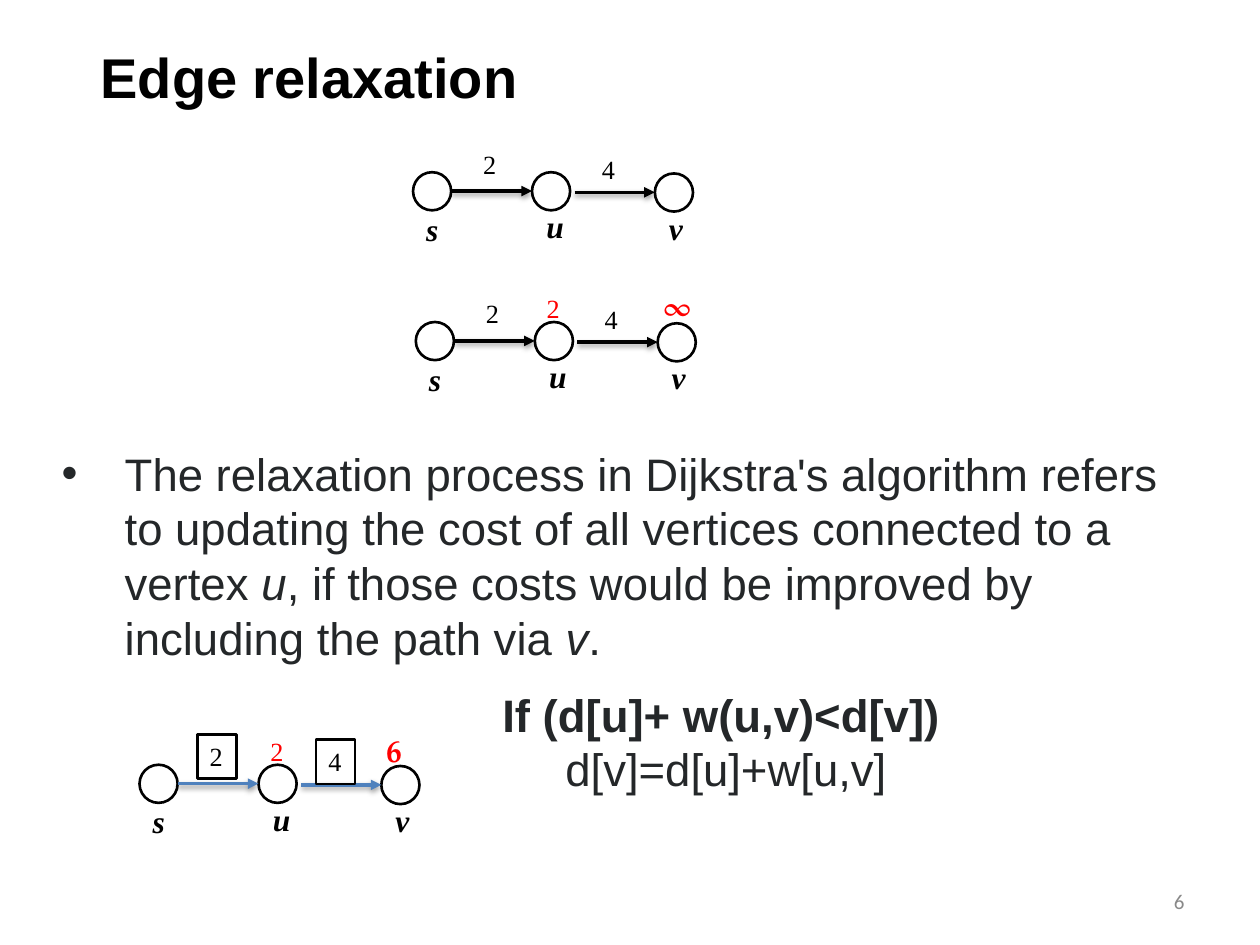
"""Build the edge relaxation slide with three small weighted graphs."""
from lxml import etree
from pptx import Presentation
from pptx import util as u
from pptx.dml.color import RGBColor
from pptx.enum import shapes, text
from pptx.oxml import parse_xml
from pptx.oxml.ns import nsdecls, qn

BLACK = RGBColor(0x00, 0x00, 0x00)
WHITE = RGBColor(0xFF, 0xFF, 0xFF)
RED = RGBColor(0xFF, 0x00, 0x00)
BLUE = RGBColor(0x4F, 0x81, 0xBD)
INK = RGBColor(0x24, 0x27, 0x29)
GREY = RGBColor(0x89, 0x89, 0x89)

SERIF = "Times New Roman"
COST_FONT = "TeX Gyre Pagella"
SANS = "Arial"
NODE = 21.8

NODES = [("s", 0, 0, (0.4, 18, 21.6)),
         ("u", 68, 0, (1.2, 16.6, 24.5)),
         ("v", 138.2, 0.7, (0.9, 16.6, 22.3))]
EDGES = [("2", 22, 68, 10.8, (33, -17.4)),
         ("4", 92.4, 138.2, 11.5, (100.8, -14.4))]
GRAPHS = [
    {"origin": (236, 98.4), "color": BLACK, "boxed": False, "costs": []},
    {"origin": (237.6, 184), "color": BLACK, "boxed": False,
     "costs": [("2", 67.7, -20.7, 22.3, 15, SERIF, False),
               ("∞", 134, -23.6, 30.2, 18, COST_FONT, True)]},
    {"origin": (79.7, 437), "color": BLUE, "boxed": True,
     "costs": [("2", 67.7, -20.2, 22.3, 15, SERIF, False),
               ("6", 134, -23, 24.5, 18, COST_FONT, True)]},
]

TITLE = [[("Edge relaxation", True, False)]]
EXPLANATION = [[
    ("The relaxation process in Dijkstra's algorithm refers to updating the cost "
     "of all vertices connected to a vertex ", False, False),
    ("u", False, True),
    (", if those costs would be improved by including the path via ", False, False),
    ("v", False, True),
    (".", False, False),
]]
RULE = [[("If (d[u]+ w(u,v)<d[v])", True, False)],
        [("d[v]=d[u]+w[u,v]", False, False)]]
PAGE_NUMBER = [[("6", False, False)]]


def points(*lengths):
    return [u.Pt(length) for length in lengths]


def write(box, paragraphs, size, font, color, wrap=False):
    frame = box.text_frame
    frame.word_wrap = wrap
    frame.auto_size = text.MSO_AUTO_SIZE.NONE
    frame.vertical_anchor = text.MSO_ANCHOR.TOP
    for index, spans in enumerate(paragraphs):
        para = frame.add_paragraph() if index else frame.paragraphs[0]
        para.alignment = text.PP_ALIGN.LEFT
        for wording, bold, italic in spans:
            span = para.add_run()
            span.text = wording
            span.font.size = u.Pt(size)
            span.font.name = font
            span.font.bold = bold
            span.font.italic = italic
            span.font.color.rgb = color
    return frame


def add_text(page, place, *style, **options):
    return write(page.shapes.add_textbox(*points(*place)), *style, **options)


def indent(para, left, first=0, bullet=None):
    properties = para._p.get_or_add_pPr()
    properties.set("marL", str(u.Pt(left)))
    properties.set("indent", str(u.Pt(first)))
    if bullet:
        etree.SubElement(properties, qn("a:buFont")).set("typeface", SANS)
        etree.SubElement(properties, qn("a:buChar")).set("char", bullet)


def add_arrow(page, start, end, y, color):
    arrow = page.shapes.add_connector(
        shapes.MSO_CONNECTOR.STRAIGHT, *points(start, y, end, y))
    arrow.line.color.rgb = color
    arrow.line.width = u.Pt(2)
    etree.SubElement(arrow.line._get_or_add_ln(), qn("a:tailEnd")).set("type", "triangle")
    arrow._element.spPr.append(parse_xml(
        f'<a:effectLst {nsdecls("a")}><a:outerShdw blurRad="{u.Pt(3.1)}" '
        f'dist="{u.Pt(1.6)}" dir="5400000" rotWithShape="0"><a:srgbClr val="{BLACK}">'
        '<a:alpha val="38000"/></a:srgbClr></a:outerShdw></a:effectLst>'))


def add_outline(page, kind, place):
    shape = page.shapes.add_shape(kind, *points(*place))
    shape.shadow.inherit = False
    shape.fill.background()
    shape.line.color.rgb = BLACK
    shape.line.width = u.Pt(1.5)
    return shape


def add_graph(page, graph):
    left, top = graph["origin"]
    for name, x, y, (label_x, label_y, width) in NODES:
        node = add_outline(page, shapes.MSO_SHAPE.OVAL, (left + x, top + y, NODE, NODE))
        node.fill.solid()
        node.fill.fore_color.rgb = WHITE
        add_text(page, (left + x + label_x, top + y + label_y, width, 29),
                 [[(name, True, True)]], 18, SERIF, BLACK)
    for weight, start, end, y, (weight_x, weight_y) in EDGES:
        add_arrow(page, left + start, left + end, top + y, graph["color"])
        place = (left + weight_x, top + weight_y, 22.3, 25.4)
        if graph["boxed"]:
            box = add_outline(page, shapes.MSO_SHAPE.RECTANGLE, place)
        else:
            box = page.shapes.add_textbox(*points(*place))
        write(box, [[(weight, False, False)]], 15, SERIF, BLACK)
    for cost, x, y, width, size, font, bold in graph["costs"]:
        add_text(page, (left + x, top + y, width, 29),
                 [[(cost, bold, False)]], size, font, RED)


def main():
    deck = Presentation()
    deck.slide_width, deck.slide_height = points(720, 540)
    page = deck.slides.add_slide(deck.slide_layouts[6])

    number = add_text(page, (516, 500.5, 168, 28.75), PAGE_NUMBER, 12, "Calibri", GREY,
                      wrap=True)
    number.vertical_anchor = text.MSO_ANCHOR.MIDDLE
    number.paragraphs[0].alignment = text.PP_ALIGN.RIGHT

    add_text(page, (50.4, 21, 255, 46), TITLE, 32, SANS, BLACK)
    explanation = add_text(page, (28.2, 251.3, 656, 133), EXPLANATION, 26, SANS, INK,
                           wrap=True)
    indent(explanation.paragraphs[0], 36, -36, "•")
    rule = add_text(page, (280, 388.8, 360, 92), RULE, 26, SANS, INK, wrap=True)
    indent(rule.paragraphs[1], 36)

    for graph in GRAPHS:
        add_graph(page, graph)
    deck.save("out.pptx")


if __name__ == "__main__":
    main()
